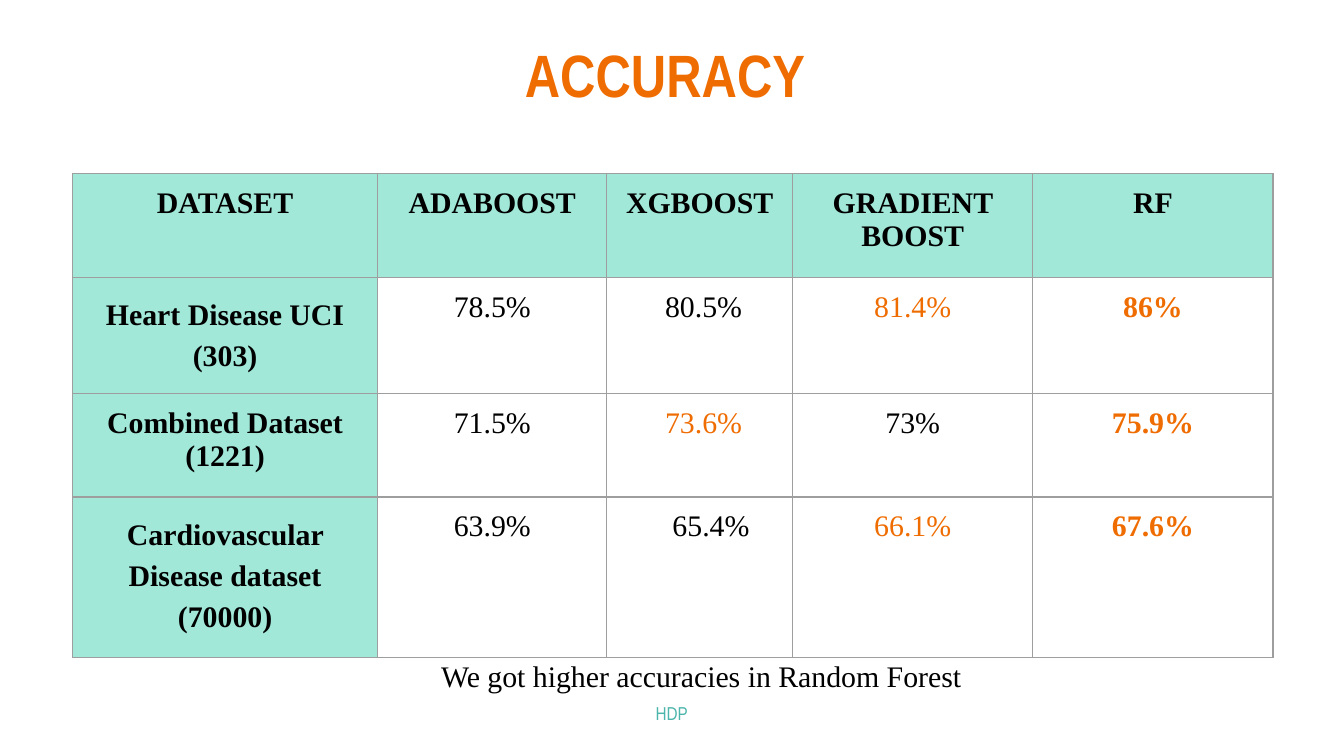
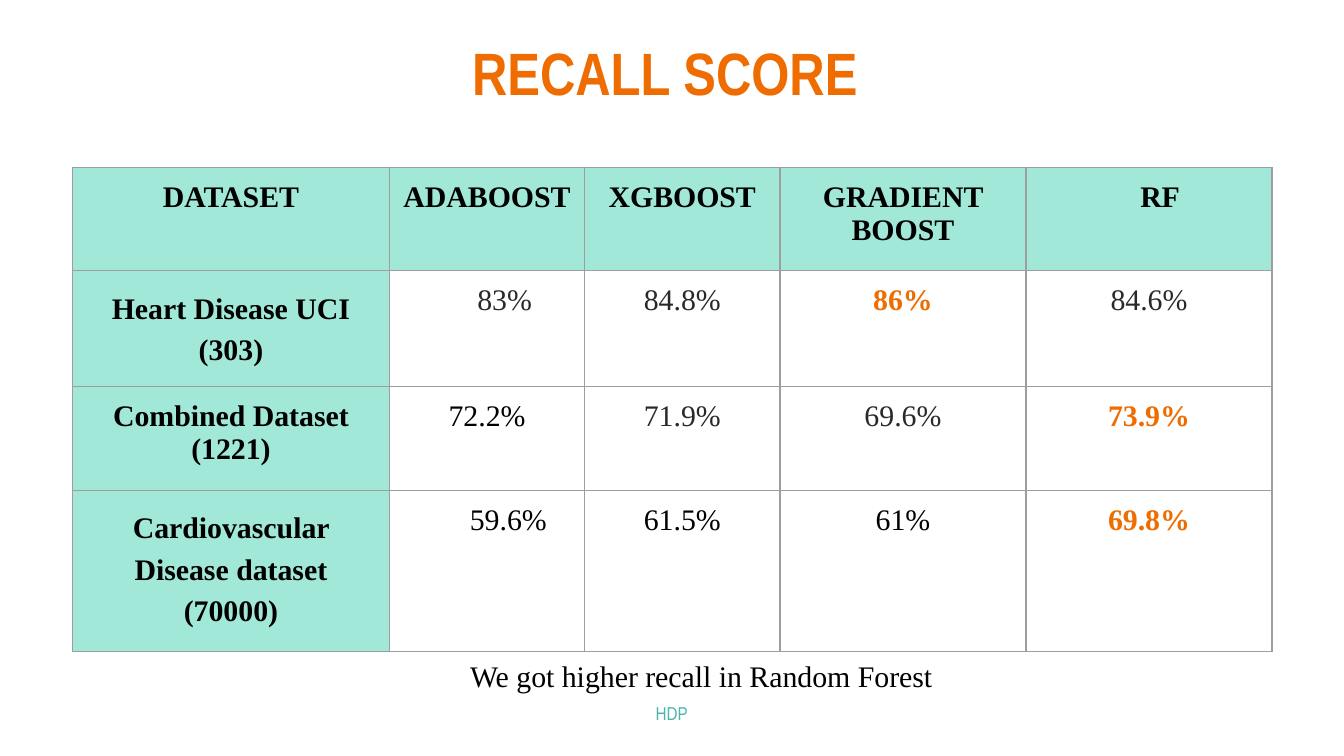
from dataclasses import dataclass

from lxml.etree import SubElement
from pptx import Presentation
from pptx.dml.color import RGBColor
from pptx.enum.text import MSO_ANCHOR, MSO_AUTO_SIZE, PP_ALIGN
from pptx.oxml.ns import qn
from pptx.util import Cm, Pt

# Shared look
ORANGE, TEAL, MINT = "EF6C00", "4DB6AC", "A1E8D9"
BLACK, CHARCOAL, GRID = "000000", "292929", "9E9E9E"
HEADING_FONT, BODY_FONT = "Arial Narrow", "Times New Roman"
INSET = Cm(0.25)
ROW_HEIGHTS = (1.96, 2.13, 1.96, 2.13)
TABLE_LEFT = 1.37

HEADERS = ("DATASET", "ADABOOST", "XGBOOST", "GRADIENT BOOST", "RF")
DATASETS = (
    "Heart Disease UCI (303)",
    "Combined Dataset (1221)",
    "Cardiovascular Disease dataset (70000)",
)


@dataclass
class Score:
    """One table entry; an indent with left alignment nudges it sideways."""
    text: str
    color: str = BLACK
    bold: bool = False
    indent: float = 0
    align: PP_ALIGN = PP_ALIGN.CENTER


def nudged(text, indent, color=BLACK):
    return Score(text, color, indent=indent, align=PP_ALIGN.LEFT)


def good(text):
    return Score(text, ORANGE)


def best(text):
    return Score(text, ORANGE, bold=True)


def dark(text):
    return Score(text, CHARCOAL)


def heading(text, indent=0):
    return Score(text, bold=True, indent=indent)


def rgb(color):
    return RGBColor.from_string(color)


def write(paragraph, text, font, size, color, bold=False,
          align=PP_ALIGN.CENTER, indent=0, right_indent=0):
    properties = paragraph._p.get_or_add_pPr()
    properties.set("marL", str(Cm(indent)))
    properties.set("marR", str(Cm(right_indent)))
    properties.set("indent", "0")
    paragraph.alignment = align
    run = paragraph.add_run()
    run.text = text
    run.font.name = font
    run.font.size = Pt(size)
    run.font.bold = bold
    run.font.color.rgb = rgb(color)


def set_insets(target):
    target.margin_left = target.margin_right = INSET
    target.margin_top = target.margin_bottom = INSET
    target.vertical_anchor = MSO_ANCHOR.TOP


def place_text(shape, box, text, font, size, color, **options):
    shape.left, shape.top, shape.width, shape.height = map(Cm, box)
    frame = shape.text_frame
    frame.word_wrap = True
    frame.auto_size = MSO_AUTO_SIZE.SHAPE_TO_FIT_TEXT
    set_insets(frame)
    write(frame.paragraphs[0], text, font, size, color, **options)


def add_text(slide, box, *args, **options):
    shape = slide.shapes.add_textbox(*map(Cm, box))
    place_text(shape, box, *args, **options)


def set_borders(cell):
    properties = cell._tc.get_or_add_tcPr()
    for side in ("lnL", "lnR", "lnT", "lnB"):
        line = SubElement(properties, qn(f"a:{side}"), w=str(Pt(0.75)))
        fill = SubElement(line, qn("a:solidFill"))
        SubElement(fill, qn("a:srgbClr"), val=GRID)


def fill_cell(cell, score, shaded, airy):
    set_insets(cell)
    set_borders(cell)
    if shaded:
        cell.fill.solid()
        cell.fill.fore_color.rgb = rgb(MINT)
    else:
        cell.fill.background()
    paragraph = cell.text_frame.paragraphs[0]
    write(paragraph, score.text, BODY_FONT, 16, score.color, score.bold,
          score.align, score.indent)
    if airy:
        paragraph.line_spacing = 1.25
        paragraph.space_after = Pt(6)


def add_score_table(slide, top, widths, headers, scores):
    rows = [headers] + [[heading(name), *values]
                        for name, values in zip(DATASETS, scores)]
    table = slide.shapes.add_table(
        len(rows), len(widths), Cm(TABLE_LEFT), Cm(top),
        Cm(sum(widths)), Cm(sum(ROW_HEIGHTS))).table
    for column, width in zip(table.columns, widths):
        column.width = Cm(width)
    for row, height in zip(table.rows, ROW_HEIGHTS):
        row.height = Cm(height)
    for i, row in enumerate(rows):
        for j, score in enumerate(row):
            fill_cell(table.cell(i, j), score, shaded=i == 0 or j == 0,
                      airy=j == 0 and i in (1, 3))


def add_score_slide(presentation, title, title_top, caption, **table):
    slide = presentation.slides.add_slide(presentation.slide_layouts[5])
    add_score_table(slide, **table)
    place_text(slide.shapes.title, (0.89, title_top, 23.62, 1.88), title,
               HEADING_FONT, 32, ORANGE, bold=True, right_indent=0.26)
    # Footer and closing remark
    add_text(slide, (8.53, 13.06, 8.33, 0.94), "HDP", HEADING_FONT, 10, TEAL)
    add_text(slide, (1.22, 12.19, 22.94, 1.19), caption,
             BODY_FONT, 16, BLACK, indent=1.13)


def main():
    presentation = Presentation()
    presentation.slide_width = Cm(25.4)
    presentation.slide_height = Cm(14.29)

    # Accuracy
    add_score_slide(
        presentation, "ACCURACY", 0.46,
        "We got higher accuracies in Random Forest",
        top=3.28, widths=(5.77, 4.33, 3.51, 4.54, 4.54),
        headers=[heading(name) for name in HEADERS],
        scores=(
            (Score("78.5%"), nudged("80.5%", 0.85), good("81.4%"), best("86%")),
            (Score("71.5%"), nudged("73.6%", 0.85, ORANGE), Score("73%"),
             best("75.9%")),
            (Score("63.9%"), nudged("65.4%", 0.99), good("66.1%"),
             best("67.6%")),
        ))

    # Recall
    add_score_slide(
        presentation, "RECALL SCORE", 0.43,
        "We got higher recall in Random Forest",
        top=3.16, widths=(5.99, 3.69, 3.69, 4.65, 4.65),
        headers=[*map(heading, HEADERS[:-1]), heading(HEADERS[-1], 0.42)],
        scores=(
            (nudged("83%", 1.41, CHARCOAL), dark("84.8%"), best("86%"),
             dark("84.6%")),
            (Score("72.2%"), dark("71.9%"), dark("69.6%"), best("73.9%")),
            (nudged("59.6%", 1.27), Score("61.5%"), Score("61%"),
             best("69.8%")),
        ))

    presentation.save("out.pptx")


if __name__ == "__main__":
    main()
